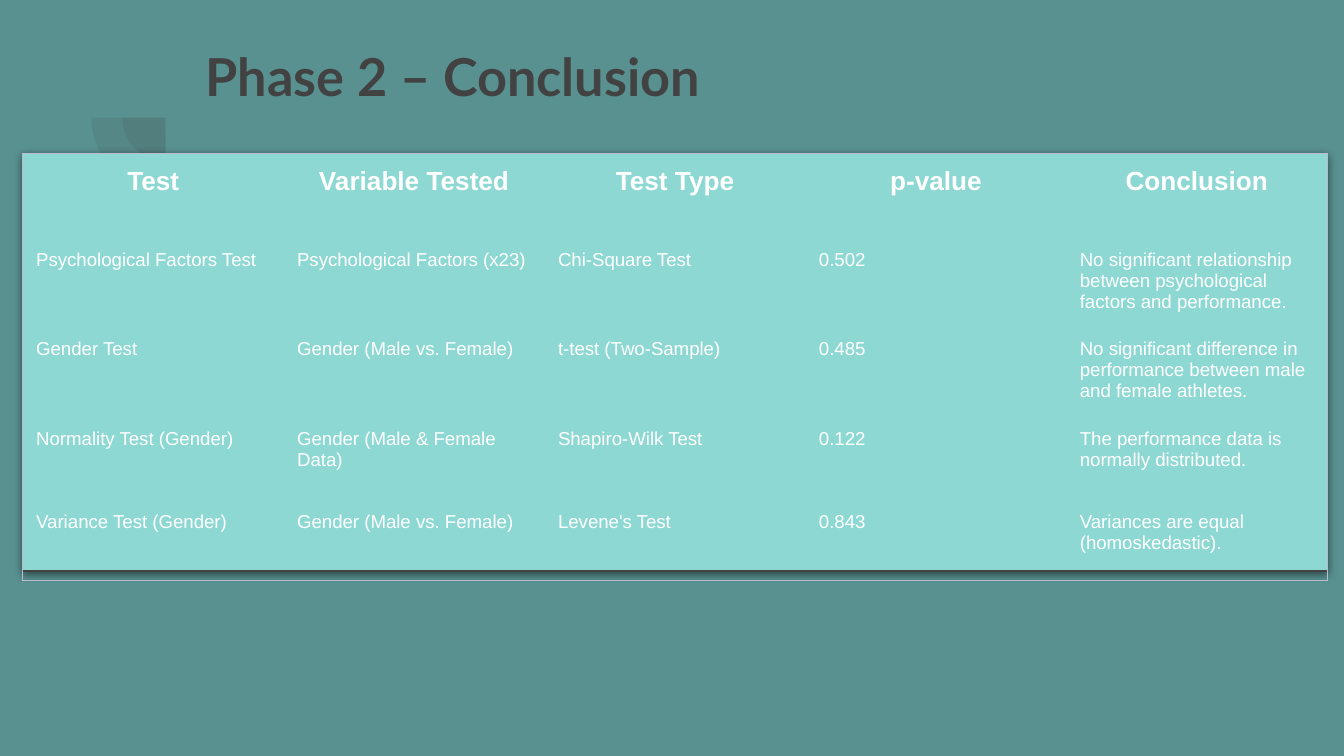
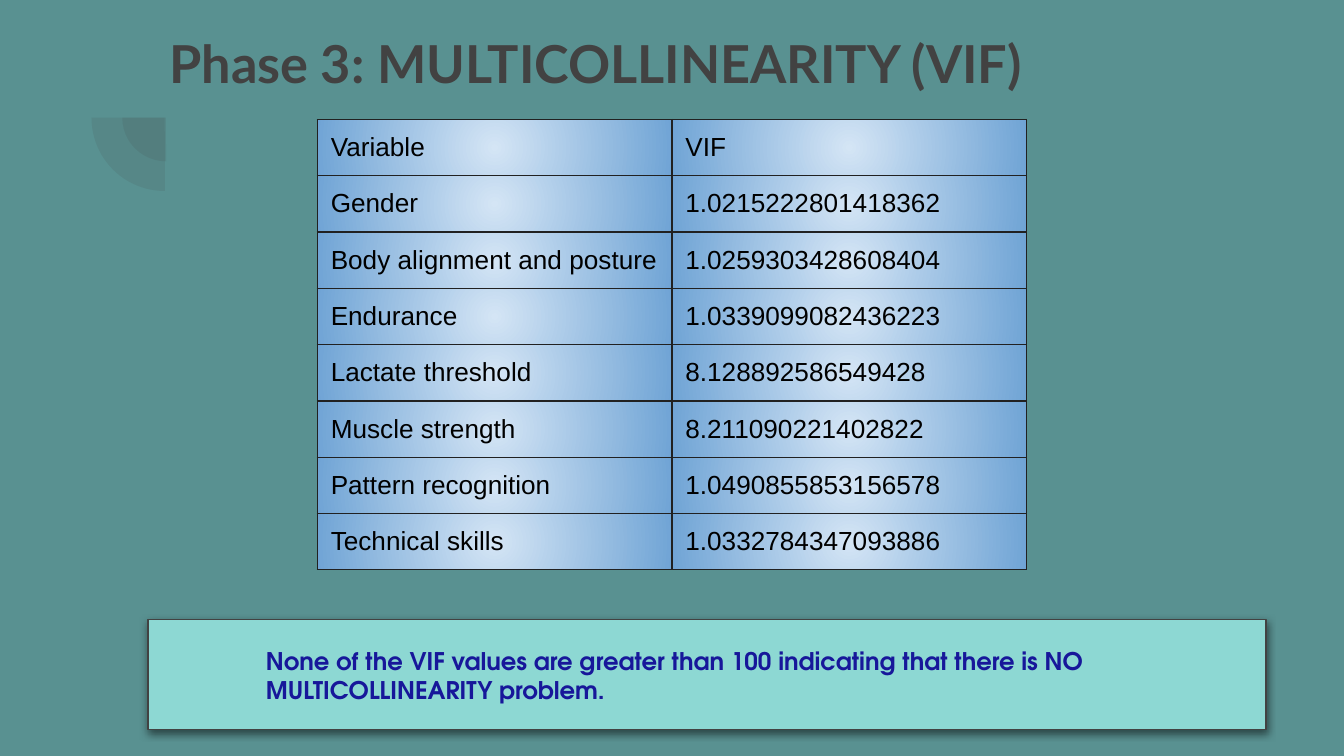
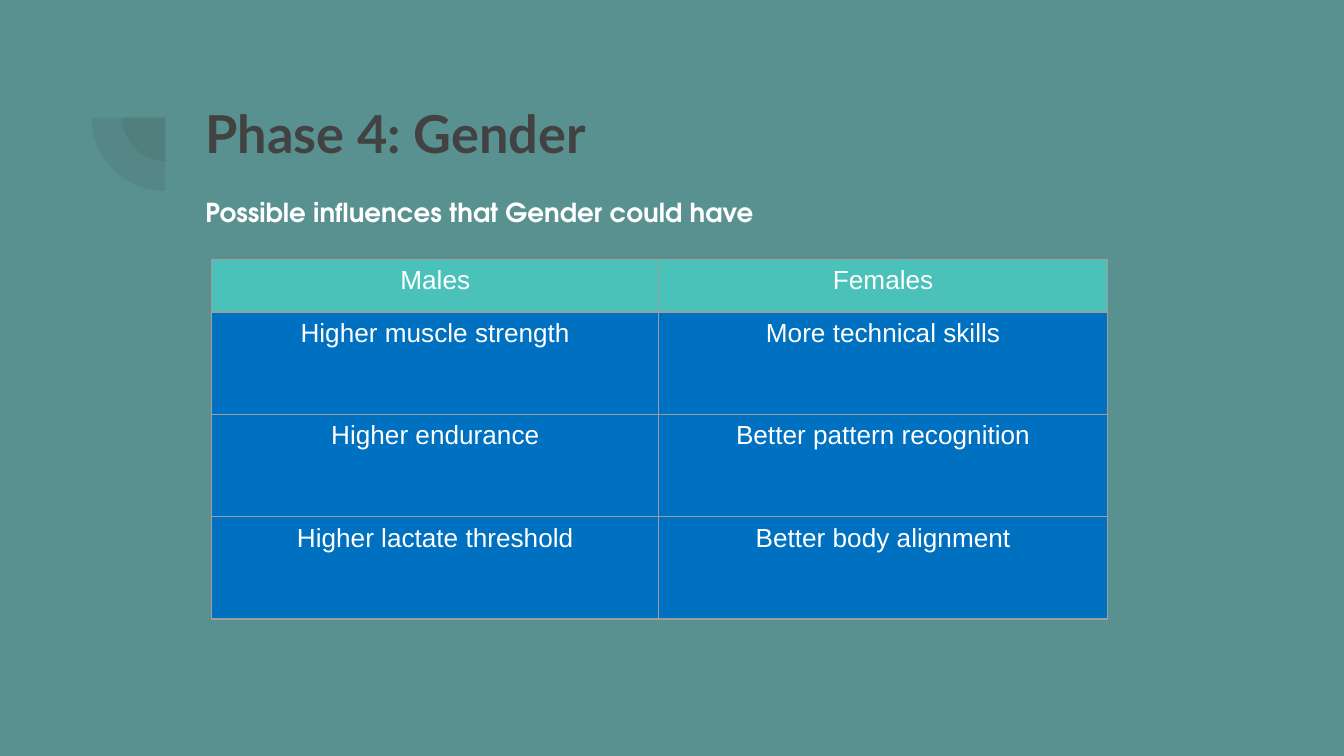
from dataclasses import dataclass

from lxml.etree import SubElement
from pptx import Presentation
from pptx.dml.color import RGBColor
from pptx.enum.shapes import MSO_SHAPE as Preset
from pptx.enum.text import MSO_ANCHOR as Anchor, MSO_AUTO_SIZE as AutoSize, PP_ALIGN as Align
from pptx.oxml import parse_xml
from pptx.oxml.ns import nsdecls, qn
from pptx.util import Pt


@dataclass(frozen=True)
class Theme:
    background: str = "599191"
    ink: str = "424242"
    panel: str = "8DD8D3"
    white: str = "FFFFFF"
    black: str = "000000"
    note: str = "17179A"
    outline: str = "BBBBCF"
    vif_edge: str = "212121"
    vif_center: str = "D4E5F5"
    vif_rim: str = "70A4D5"
    gender_edge: str = "9E9E9E"
    gender_head: str = "4AC1B9"
    gender_body: str = "0070C0"
    title_font: str = "Lato"
    note_font: str = "TeX Gyre Adventor"
    table_font: str = "Arial"
    title_size: float = 28
    head_size: float = 14
    note_size: float = 13
    small_size: float = 10
    hairline: float = 0.75
    pad: float = 7.2
    tight_pad: float = 3.6


theme = Theme()
rgb = RGBColor.from_string


def write(frame, text, size=theme.head_size, color=theme.white, font=theme.table_font,
          bold=False, align=Align.LEFT, pad_y=None):
    if pad_y is not None:
        frame.word_wrap = True
        frame.auto_size = AutoSize.NONE
        frame.vertical_anchor = Anchor.TOP
        frame.margin_left = frame.margin_right = Pt(theme.pad)
        frame.margin_top = frame.margin_bottom = Pt(pad_y)
    paragraph = frame.paragraphs[0]
    paragraph.alignment = align
    run = paragraph.add_run()
    run.text = text
    run.font.size = Pt(size)
    run.font.name = font
    run.font.bold = bold
    run.font.color.rgb = rgb(color)


def build_table(slide, rows, left, top, widths, heights, edge, head, body,
                fills=(None, None), pad_y=theme.pad, inner_lines=True):
    frame = slide.shapes.add_table(len(rows), len(widths), Pt(left), Pt(top),
                                   Pt(sum(widths)), Pt(sum(heights)))
    table = frame.table
    table.first_row = table.horz_banding = False
    frame.element.find(".//" + qn("a:tableStyleId")).text = "{2D5ABB26-0587-4C30-8999-92F81FD0307C}"
    for column, width in zip(table.columns, widths):
        column.width = Pt(width)
    for row, height in zip(table.rows, heights):
        row.height = Pt(height)
    last_row, last_column = len(rows) - 1, len(widths) - 1
    for index, properties in enumerate(frame.element.iter(qn("a:tc"))):
        r, c = divmod(index, len(widths))
        cell = table.cell(r, c)
        cell.margin_left = cell.margin_right = Pt(theme.pad)
        cell.margin_top = cell.margin_bottom = Pt(pad_y)
        write(cell.text_frame, rows[r][c], **(body if r else head))
        fill = fills[1 if r else 0]
        if fill is None:
            cell.fill.background()
        elif isinstance(fill, str):
            cell.fill.solid()
            cell.fill.fore_color.rgb = rgb(fill)
        else:
            cell.fill.gradient()
            for stop, color in zip(cell.fill.gradient_stops, fill):
                stop.color.rgb = rgb(color)
            gradient = properties.tcPr.find(qn("a:gradFill"))
            gradient.remove(gradient.find(qn("a:lin")))
            path = SubElement(gradient, qn("a:path"), path="circle")
            SubElement(path, qn("a:fillToRect"), l="50000", t="50000", r="50000", b="50000")
        sides = {"lnL": c == 0, "lnR": c == last_column, "lnT": r == 0, "lnB": r == last_row}
        drawn = [side for side, outer in sides.items() if outer or inner_lines]
        for position, side in enumerate(drawn):
            properties.tcPr.insert(position, parse_xml(
                f'<a:{side} {nsdecls("a")} w="{Pt(theme.hairline)}">'
                f'<a:solidFill><a:srgbClr val="{edge}"/></a:solidFill></a:{side}>'))


prs = Presentation()
prs.slide_width, prs.slide_height = Pt(720), Pt(405)
background = prs.slide_master.background.fill
background.solid()
background.fore_color.rgb = rgb(theme.background)
title_only = prs.slide_layouts[5]

pages = [
    ("Phase 2 – Conclusion", (103, 16.6, 553.7, 66.2), (12.2, 82.1, 699.1, 223.9)),
    ("Phase 3: MULTICOLLINEARITY (VIF)", (83.5, 9.4, 553.7, 78.5), (79.2, 331.9, 599, 59)),
    ("Phase 4: Gender", (103, 46.8, 553.7, 78.5), None),
]
slides = []
for heading, title_box, panel_box in pages:
    slide = prs.slides.add_slide(title_only)
    slides.append(slide)
    title = slide.shapes.title
    title.left, title.top, title.width, title.height = map(Pt, title_box)
    write(title.text_frame, heading, size=theme.title_size, color=theme.ink,
          font=theme.title_font, bold=True, pad_y=theme.pad)
    if panel_box:
        panel = slide.shapes.add_shape(Preset.RECTANGLE, *map(Pt, panel_box))
        panel.fill.solid()
        panel.fill.fore_color.rgb = rgb(theme.panel)
        panel.line.color.rgb = rgb(theme.ink)
        panel.line.width = Pt(theme.hairline)
        panel.shadow.inherit = False
        shadow = SubElement(panel.element.spPr.find(qn("a:effectLst")), qn("a:outerShdw"),
                            blurRad=str(Pt(4.5)), dist=str(Pt(1.5)), dir="5400000",
                            algn="bl", rotWithShape="0")
        shadow_color = SubElement(shadow, qn("a:srgbClr"), val=theme.black)
        SubElement(shadow_color, qn("a:alpha"), val="50000")
conclusion, vif, gender = slides

for depth, (left, top, size) in enumerate([(65.5, 39.6, 46.8), (49, 23.8, 78.5)]):
    quarter = conclusion.shapes.add_shape(Preset.PIE, Pt(left), Pt(top), Pt(size), Pt(size))
    quarter.rotation = 270
    quarter.adjustments[0], quarter.adjustments[1] = 107.93, 162
    quarter.shadow.inherit = False
    quarter.line.fill.background()
    quarter.fill.solid()
    quarter.fill.fore_color.rgb = rgb(theme.ink)
    SubElement(quarter.element.spPr.find(".//" + qn("a:srgbClr")), qn("a:alpha"), val="12000")
    title_only.shapes.element.insert(2 + depth, quarter.element)

build_table(
    conclusion,
    [
        ("Test", "Variable Tested", "Test Type", "p-value", "Conclusion"),
        ("Psychological Factors Test", "Psychological Factors (x23)", "Chi-Square Test", "0.502",
         "No significant relationship between psychological factors and performance."),
        ("Gender Test", "Gender (Male vs. Female)", "t-test (Two-Sample)", "0.485",
         "No significant difference in performance between male and female athletes."),
        ("Normality Test (Gender)", "Gender (Male & Female Data)", "Shapiro-Wilk Test", "0.122",
         "The performance data is normally distributed."),
        ("Variance Test (Gender)", "Gender (Male vs. Female)", "Levene's Test", "0.843",
         "Variances are equal (homoskedastic)."),
    ],
    12.2, 82.1, [139.8] * 5, [44.4] * 5, theme.outline,
    head=dict(bold=True, align=Align.CENTER), body=dict(size=theme.small_size),
    inner_lines=False)

vif_text = dict(color=theme.black)
build_table(
    vif,
    [
        ("Variable", "VIF"),
        ("Gender", "1.0215222801418362"),
        ("Body alignment and posture", "1.0259303428608404"),
        ("Endurance", "1.0339099082436223"),
        ("Lactate threshold", "8.128892586549428"),
        ("Muscle strength", "8.211090221402822"),
        ("Pattern recognition", "1.0490855853156578"),
        ("Technical skills", "1.0332784347093886"),
    ],
    170, 64, [190] * 2, [30] * 8, theme.vif_edge, head=vif_text, body=vif_text,
    fills=[(theme.vif_center, theme.vif_rim)] * 2)

gender_text = dict(align=Align.CENTER)
build_table(
    gender,
    [
        ("Males", "Females"),
        ("Higher muscle strength", "More technical skills"),
        ("Higher endurance", "Better pattern recognition"),
        ("Higher lactate threshold", "Better body alignment"),
    ],
    113.5, 139, [239.4, 240.5], [28.2] + [54.8] * 3, theme.gender_edge,
    head=gender_text, body=gender_text,
    fills=(theme.gender_head, theme.gender_body), pad_y=theme.tight_pad)

verdict = vif.shapes.add_textbox(Pt(135.4), Pt(339.1), Pt(522), Pt(44.6))
write(verdict.text_frame,
      "None of the VIF values are greater than 100 indicating that there is NO "
      "MULTICOLLINEARITY problem.",
      size=theme.note_size, color=theme.note, font=theme.note_font, bold=True, pad_y=theme.pad)

subtitle = gender.shapes.add_textbox(Pt(103), Pt(101.5), Pt(383.8), Pt(24.5))
write(subtitle.text_frame, "Possible influences that Gender could have",
      font=theme.note_font, bold=True, pad_y=theme.tight_pad)

prs.save("out.pptx")
